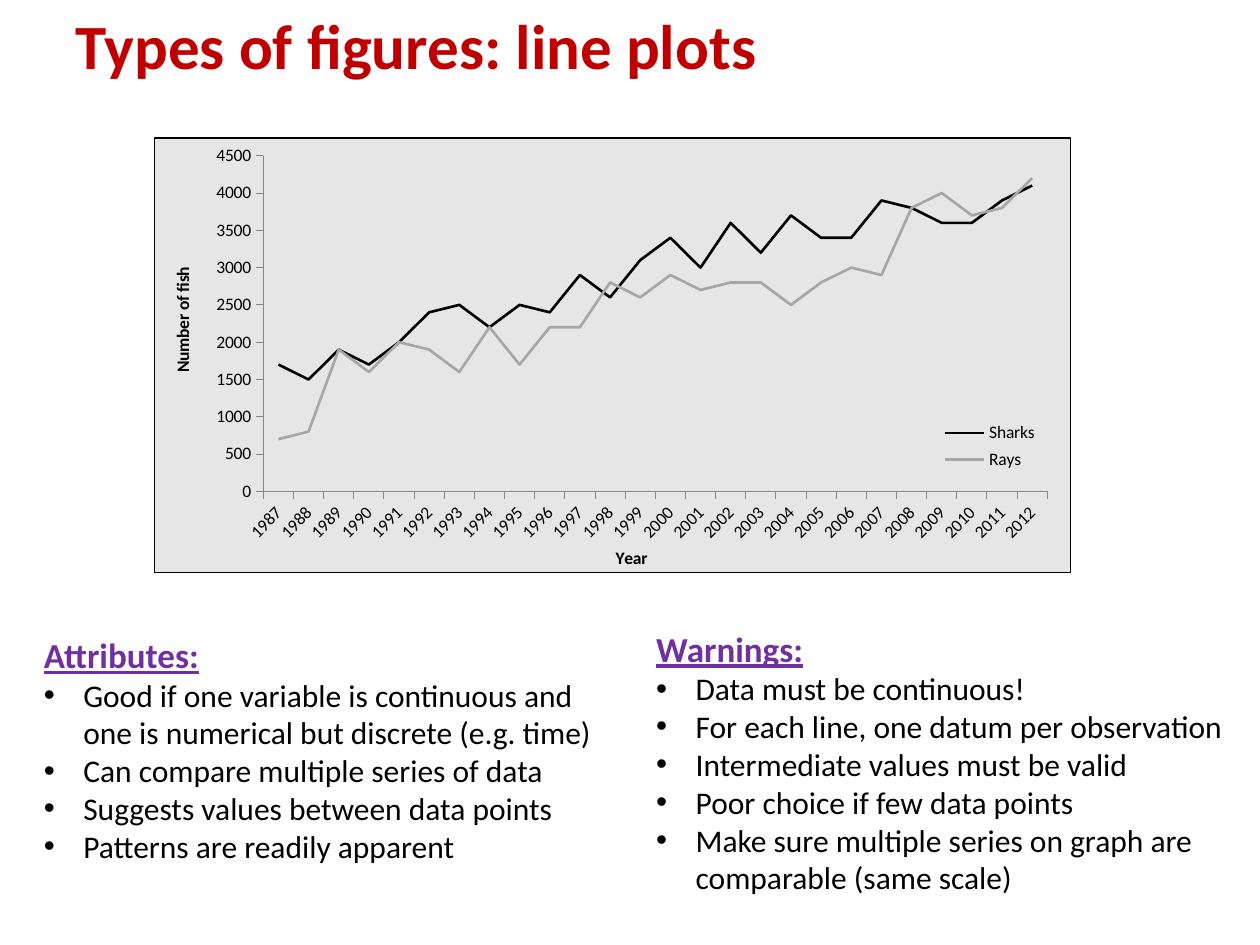
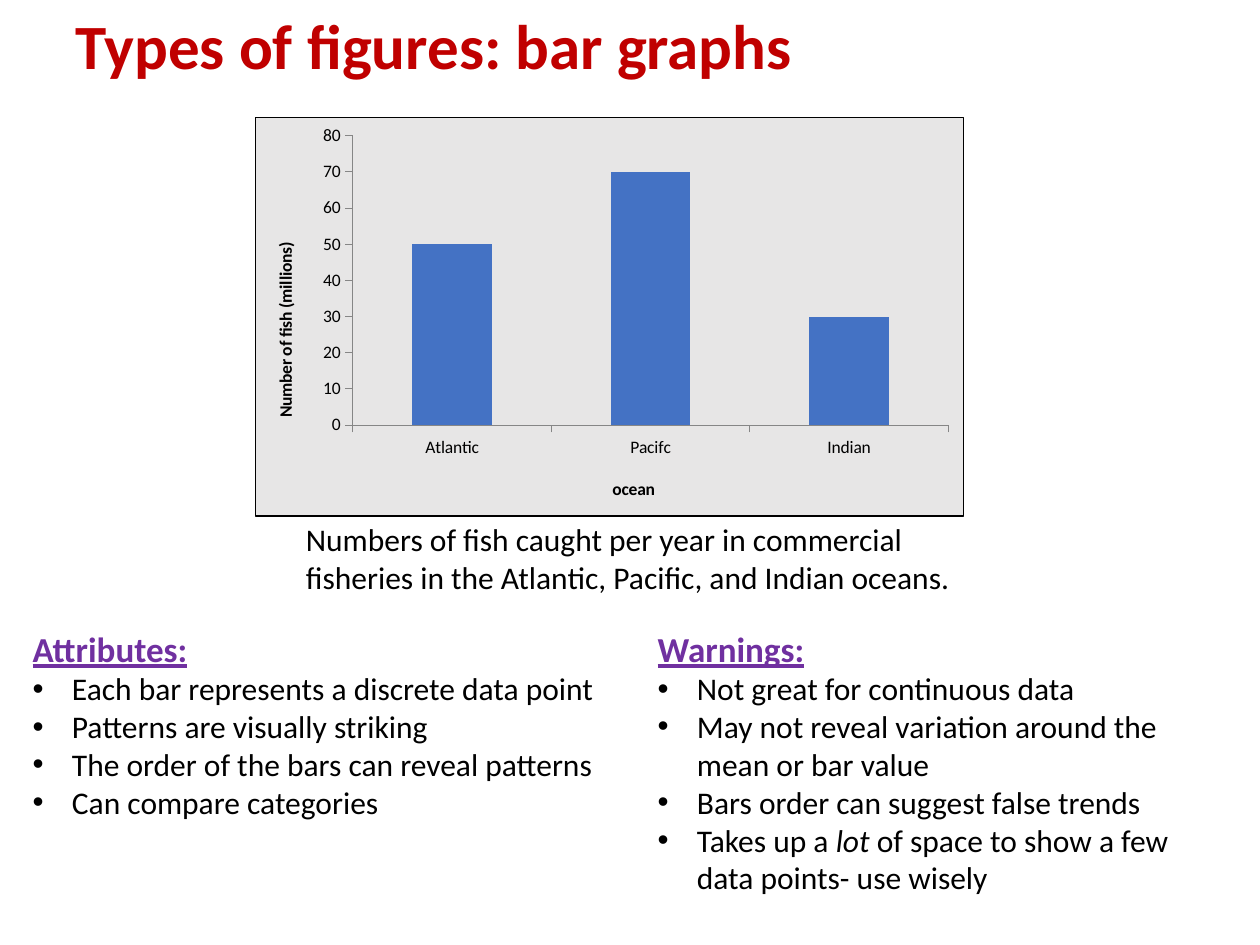
"""Build two slides on line plots and bar graphs, each with its attributes and warnings."""
from lxml import etree
from pptx import Presentation
from pptx.chart.data import CategoryChartData
from pptx.dml.color import RGBColor
from pptx.enum.chart import XL_CHART_TYPE, XL_LEGEND_POSITION, XL_TICK_MARK
from pptx.enum.text import MSO_ANCHOR
from pptx.oxml import parse_xml
from pptx.oxml.ns import nsdecls, qn
from pptx.util import Inches, Pt

LINE, COLUMN = XL_CHART_TYPE.LINE, XL_CHART_TYPE.COLUMN_CLUSTERED
LEGEND_RIGHT = XL_LEGEND_POSITION.RIGHT
TICK_OUT, TICK_NONE = XL_TICK_MARK.OUTSIDE, XL_TICK_MARK.NONE
MIDDLE, TOP = MSO_ANCHOR.MIDDLE, MSO_ANCHOR.TOP

FONT = "Calibri"
RED = RGBColor(0xC0, 0x00, 0x00)
PURPLE = RGBColor(0x70, 0x30, 0xA0)
BLACK = RGBColor(0x00, 0x00, 0x00)
GREY = RGBColor(0xA6, 0xA6, 0xA6)
AXIS_GREY = RGBColor(0x86, 0x86, 0x86)
BLUE = RGBColor(0x44, 0x72, 0xC4)
PANEL = RGBColor(0xE7, 0xE6, 0xE6)

SLIDES = [
    {
        "title": "Types of figures: line plots",
        "chart": LINE,
        "chart_box": (1.22, 1.09, 7.28, 3.46),
        "plot_box": (0.119, 0.041, 0.856, 0.773),
        "categories": [str(year) for year in range(1987, 2013)],
        "series": [
            ("Sharks", BLACK, [1700, 1500, 1900, 1700, 2000, 2400, 2500, 2200, 2500,
                               2400, 2900, 2600, 3100, 3400, 3000, 3600, 3200, 3700,
                               3400, 3400, 3900, 3800, 3600, 3600, 3900, 4100]),
            ("Rays", GREY, [700, 800, 1900, 1600, 2000, 1900, 1600, 2200, 1700,
                            2200, 2200, 2800, 2600, 2900, 2700, 2800, 2800, 2500,
                            2800, 3000, 2900, 3800, 4000, 3700, 3800, 4200]),
        ],
        "axis_titles": [("Year", (0.5, 0.933)), ("Number of fish", (0.015, 0.29))],
        "scale": (4500, 500),
        "lists": [
            ((0.25, 4.98, 4.75, 1.95), "Attributes:", [
                "Good if one variable is continuous and one is numerical but discrete (e.g. time)",
                "Can compare multiple series of data",
                "Suggests values between data points",
                "Patterns are readily apparent"]),
            ((5.11, 4.93, 4.75, 2.26), "Warnings:", [
                "Data must be continuous!",
                "For each line, one datum per observation",
                "Intermediate values must be valid",
                "Poor choice if few data points",
                "Make sure multiple series on graph are comparable (same scale)"]),
        ],
    },
    {
        "title": "Types of figures: bar graphs",
        "chart": COLUMN,
        "chart_box": (2.02, 0.93, 5.63, 3.17),
        "plot_box": (0.138, 0.045, 0.841, 0.727),
        "categories": ["Atlantic", "Pacifc", "Indian"],
        "series": [("Series 1", BLUE, [50, 70, 30])],
        "axis_titles": [("ocean", (0.5, 0.895)), ("Number of fish (millions)", (0.022, 0.305))],
        "scale": (80, 10),
        "caption": "Numbers of fish caught per year in commercial fisheries "
                   "in the Atlantic, Pacific, and Indian oceans.",
        "lists": [
            ((0.16, 4.93, 4.75, 1.65), "Attributes:", [
                "Each bar represents a discrete data point",
                "Patterns are visually striking",
                "The order of the bars can reveal patterns",
                "Can compare categories"]),
            ((5.12, 4.93, 4.75, 2.26), "Warnings:", [
                "Not great for continuous data",
                "May not reveal variation around the mean or bar value",
                "Bars order can suggest false trends",
                "Takes up a *lot *of space to show a few data points- use wisely"]),
        ],
    },
]


def add_text(slide, box, text, size, color, bold=False, anchor=TOP):
    """Add a wrapped text box and return its text frame."""
    frame = slide.shapes.add_textbox(*map(Inches, box)).text_frame
    frame.word_wrap = True
    frame.vertical_anchor = anchor
    frame.text = text
    font = frame.paragraphs[0].runs[0].font
    font.name, font.size, font.bold = FONT, Pt(size), bold
    font.color.rgb = color
    return frame


def place(element, index, box, inner=False):
    """Give a chart part a fixed place, in fractions of the chart."""
    for old in element.findall(qn("c:layout")):
        element.remove(old)
    layout = etree.Element(qn("c:layout"))
    manual = etree.SubElement(layout, qn("c:manualLayout"))
    settings = [("layoutTarget", "inner")] if inner else []
    settings += [("xMode", "edge"), ("yMode", "edge"), *zip("xywh", box)]
    for tag, value in settings:
        etree.SubElement(manual, qn(f"c:{tag}")).set("val", str(value))
    element.insert(index, layout)


prs = Presentation()
prs.slide_width, prs.slide_height = Inches(10), Inches(7.5)

for content in SLIDES:
    slide = prs.slides.add_slide(prs.slide_layouts[6])

    for box, heading, points in content["lists"]:
        frame = add_text(slide, box, heading, 20, PURPLE, bold=True)
        frame.paragraphs[0].runs[0].font.underline = True
        for point in points:
            paragraph = frame.add_paragraph()
            properties = paragraph._p.get_or_add_pPr()
            properties.set("marL", str(Pt(22.5)))
            properties.set("indent", str(-Pt(22.5)))
            etree.SubElement(properties, qn("a:buFont")).set("typeface", "Arial")
            etree.SubElement(properties, qn("a:buChar")).set("char", "•")
            for number, part in enumerate(point.split("*")):
                run = paragraph.add_run()
                run.text = part
                run.font.name, run.font.size = FONT, Pt(18)
                run.font.color.rgb = BLACK
                run.font.italic = number % 2 == 1

    data = CategoryChartData()
    data.categories = content["categories"]
    for name, color, values in content["series"]:
        data.add_series(name, values)
    chart = slide.shapes.add_chart(
        content["chart"], *map(Inches, content["chart_box"]), data).chart
    chart.has_title = False
    chart.font.name, chart.font.size = FONT, Pt(10)
    chart.font.color.rgb = BLACK
    chart_space = chart._chartSpace
    chart_space.find(qn("c:chart")).addnext(parse_xml(
        f'<c:spPr {nsdecls("c", "a")}>'
        f'<a:solidFill><a:srgbClr val="{PANEL}"/></a:solidFill>'
        f'<a:ln w="{Pt(0.75)}"><a:solidFill><a:srgbClr val="{BLACK}"/></a:solidFill></a:ln>'
        '</c:spPr>'))
    place(chart_space.find(f'{qn("c:chart")}/{qn("c:plotArea")}'), 0,
          content["plot_box"], inner=True)

    plot = chart.plots[0]
    plot.vary_by_categories = False
    for series, (name, color, values) in zip(plot.series, content["series"]):
        if content["chart"] == LINE:
            series.smooth = False
            series.format.line.color.rgb = color
            series.format.line.width = Pt(1.5)
        else:
            series.format.fill.solid()
            series.format.fill.fore_color.rgb = color

    axes = chart.category_axis, chart.value_axis
    for axis, (title, position) in zip(axes, content["axis_titles"]):
        axis.has_major_gridlines = False
        axis.major_tick_mark, axis.minor_tick_mark = TICK_OUT, TICK_NONE
        axis.format.line.color.rgb = AXIS_GREY
        axis.format.line.width = Pt(0.5)
        axis.tick_labels.font.size = Pt(10)
        axis.axis_title.text_frame.text = title
        font = axis.axis_title.text_frame.paragraphs[0].runs[0].font
        font.name, font.size, font.bold = FONT, Pt(10), True
        font.color.rgb = BLACK
        place(axis.axis_title._element, 1, position)
    chart.value_axis.maximum_scale, chart.value_axis.major_unit = content["scale"]
    chart.value_axis.minimum_scale = 0
    title_body = next(chart.value_axis.axis_title._element.iter(qn("a:bodyPr")))
    title_body.set("rot", "-5400000")
    title_body.set("vert", "horz")

    if content["chart"] == LINE:
        labels = chart.category_axis._element.find(qn("c:txPr"))
        labels.find(qn("a:bodyPr")).set("rot", "-2700000")
        chart.has_legend = True
        chart.legend.position = LEGEND_RIGHT
        chart.legend.include_in_layout = False
        chart.legend.font.size = Pt(10)
        place(chart.legend._element, 1, (0.852, 0.64, 0.12, 0.14))
    else:
        chart.has_legend = False
        plot.gap_width = 150
        add_text(slide, (2.33, 4.08, 5.33, 0.71), content["caption"], 18, BLACK)

    heading = add_text(slide, (0.5, 0, 9, 0.78), content["title"], 36, RED,
                       bold=True, anchor=MIDDLE)
    heading.paragraphs[0].line_spacing = 0.9

prs.save("out.pptx")
